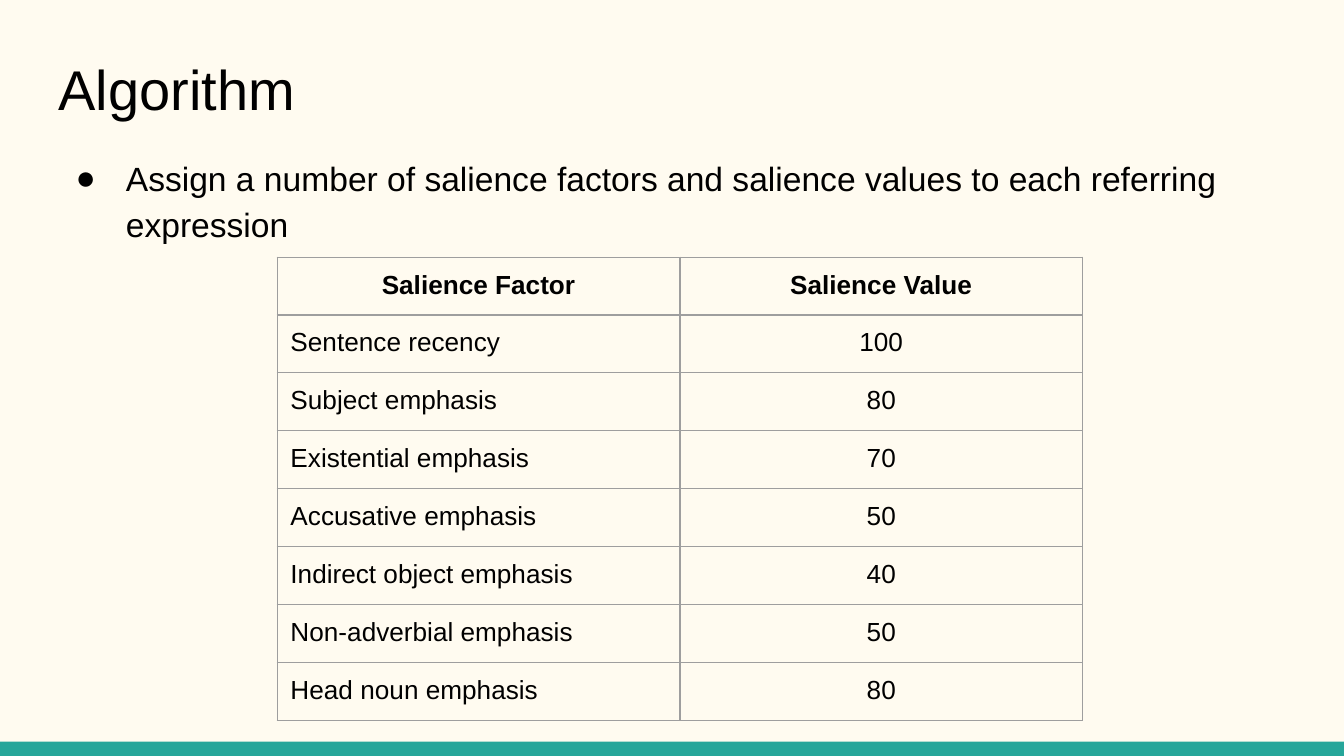
from lxml.etree import SubElement as Sub
from pptx import Presentation as Deck
from pptx.dml.color import RGBColor as RGB
from pptx.enum.shapes import MSO_SHAPE as Kind
from pptx.enum.text import MSO_ANCHOR as Anchor, PP_ALIGN as Align
from pptx.oxml.ns import qn
from pptx.util import Cm, Pt

hues = {"page": "FFFBF0", "bar": "26A69A", "text": "000000", "rule": "9E9E9E"}
pad = {f"margin_{side}": Cm(0.25) for side in ("left", "right", "top", "bottom")}
rows = [
    ("Salience Factor", "Salience Value"),
    ("Sentence recency", "100"),
    ("Subject emphasis", "80"),
    ("Existential emphasis", "70"),
    ("Accusative emphasis", "50"),
    ("Indirect object emphasis", "40"),
    ("Non-adverbial emphasis", "50"),
    ("Head noun emphasis", "80"),
]


def apply(item, form):
    for key, val in form.items():
        setattr(item, key, val)


def write(para, text, size, bold=False):
    run = para.add_run()
    run.text = text
    apply(run.font, {"name": "Arial", "size": Pt(size), "bold": bold})
    run.font.color.rgb = RGB.from_string(hues["text"])


deck = Deck()
apply(deck, {"slide_width": Cm(25.4), "slide_height": Cm(14.29)})
slide = deck.slides.add_slide(deck.slide_layouts[6])
back = slide.background.fill
back.solid()
back.fore_color.rgb = RGB.from_string(hues["page"])

bar = slide.shapes.add_shape(Kind.RECTANGLE, 0, Cm(14.02), Cm(25.4), Cm(0.27))
bar.shadow.inherit = False
bar.fill.solid()
bar.fill.fore_color.rgb = RGB.from_string(hues["bar"])
bar.line.fill.background()

paras = []
for top, anchor in ((0.81, Anchor.MIDDLE), (2.62, Anchor.TOP)):
    box = slide.shapes.add_textbox(Cm(0.86), Cm(top), Cm(23.67), Cm(1.7))
    apply(box.text_frame, {**pad, "word_wrap": True, "vertical_anchor": anchor})
    paras.append(box.text_frame.paragraphs[0])

title, point = paras
write(title, "Algorithm", 30)
write(point, "Assign a number of salience factors and salience values to each referring expression", 18)
point.line_spacing = 1.15
props = point._p.get_or_add_pPr()
props.set("marL", str(Cm(1.27)))
props.set("indent", str(-Cm(0.95)))
Sub(Sub(props, qn("a:buClr")), qn("a:srgbClr"), val=hues["text"])
Sub(props, qn("a:buFont"), typeface="Arial")
Sub(props, qn("a:buChar"), char="●")

high, wide = Cm(1.07), Cm(7.61)
frame = slide.shapes.add_table(len(rows), 2, Cm(5.24), Cm(4.86), wide * 2, high * len(rows))
table = frame.table
apply(table, {"first_row": False, "horz_banding": False})
for col in table.columns:
    col.width = wide
for r, texts in enumerate(rows):
    table.rows[r].height = high
    for c, text in enumerate(texts):
        cell = table.cell(r, c)
        apply(cell, {**pad, "vertical_anchor": Anchor.TOP})
        para = cell.text_frame.paragraphs[0]
        para.alignment = Align.CENTER if r == 0 or c == 1 else Align.LEFT
        write(para, text, 14, r == 0)
        props = cell._tc.get_or_add_tcPr()
        for side in "LRTB":
            line = Sub(props, qn(f"a:ln{side}"), w=str(Pt(0.75)))
            Sub(Sub(line, qn("a:solidFill")), qn("a:srgbClr"), val=hues["rule"])
        cell.fill.background()

deck.save("out.pptx")
